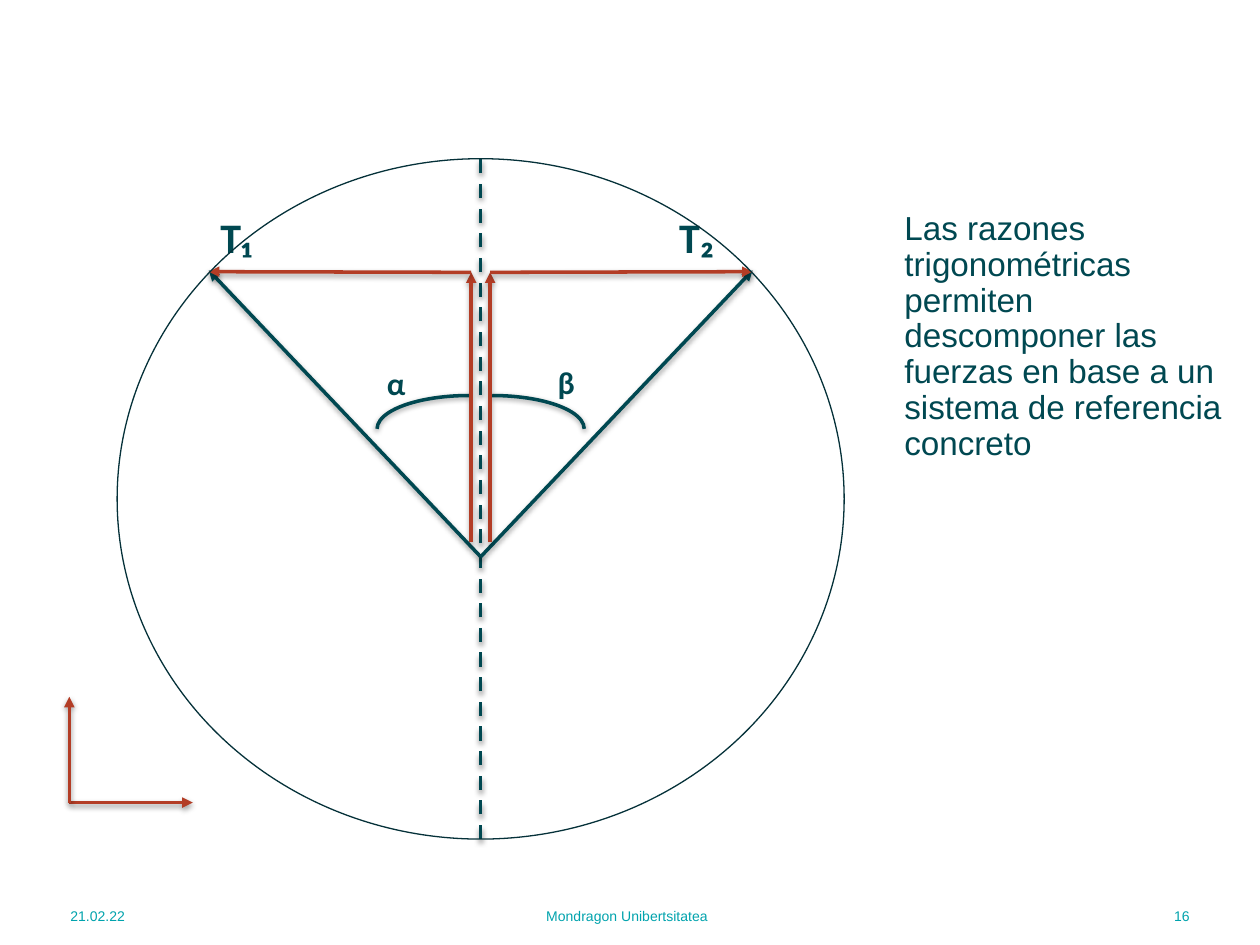
from collections import namedtuple

from lxml import etree
from pptx import Presentation
from pptx.dml.color import RGBColor
from pptx.enum.dml import MSO_LINE
from pptx.enum.shapes import MSO_CONNECTOR, MSO_SHAPE
from pptx.enum.text import MSO_ANCHOR, PP_ALIGN
from pptx.oxml.ns import qn
from pptx.util import Inches, Pt

STRAIGHT = MSO_CONNECTOR.STRAIGHT
ARC, OVAL = MSO_SHAPE.ARC, MSO_SHAPE.OVAL
DASH = MSO_LINE.DASH
TOP, MIDDLE = MSO_ANCHOR.TOP, MSO_ANCHOR.MIDDLE
LEFT, CENTER, RIGHT = PP_ALIGN.LEFT, PP_ALIGN.CENTER, PP_ALIGN.RIGHT

COLORS = {"ink": "004851", "rim": "053139", "force": "B33D26", "footer": "00A3AD", "shadow": "000000"}


class Box(namedtuple("Box", "left top width height")):
    def point(self, column, row):
        return (Inches(self.left + self.width * column / 100),
                Inches(self.top + self.height * row / 100))

    def area(self, column, row, columns, rows):
        return Box(self.left + self.width * column / 100, self.top + self.height * row / 100,
                   self.width * columns / 100, self.height * rows / 100)

    def lengths(self):
        return [Inches(length) for length in self]


def color(name):
    return RGBColor.from_string(COLORS[name])


def add_shadow(shape):
    effects = etree.SubElement(shape._element.spPr, qn("a:effectLst"))
    shadow = etree.SubElement(effects, qn("a:outerShdw"), blurRad="40000", dist="20000",
                              dir="5400000", rotWithShape="0")
    tint = etree.SubElement(shadow, qn("a:srgbClr"), val=COLORS["shadow"])
    etree.SubElement(tint, qn("a:alpha"), val="38000")


def add_line(shapes, box, start, end, ink, arrow=True):
    line = shapes.add_connector(STRAIGHT, *box.point(*start), *box.point(*end))
    line.line.color.rgb = color(ink)
    line.line.width = Pt(2)
    if arrow:
        outline = line._element.spPr.find(qn("a:ln"))
        etree.SubElement(outline, qn("a:tailEnd"), type="triangle")
    else:
        line.line.dash_style = DASH
    add_shadow(line)


def add_outline(shapes, kind, box, ink, width):
    shape = shapes.add_shape(kind, *box.lengths())
    shape.fill.background()
    shape.line.color.rgb = color(ink)
    shape.line.width = Pt(width)
    return shape


def add_text(shapes, box, text, size, ink, font="Arial", bold=False, align=LEFT, anchor=TOP):
    frame = shapes.add_textbox(*box.lengths()).text_frame
    frame.word_wrap = True
    frame.vertical_anchor = anchor
    frame.text = text
    para = frame.paragraphs[0]
    para.alignment = align
    span = para.runs[0].font
    span.size, span.name, span.bold = Pt(size), font, bold
    span.color.rgb = color(ink)
    return para


def draw_forces(page, box):
    shapes = page.shapes.add_group_shape().shapes
    vertex = (50, 58.5)
    add_line(shapes, box, (50, 100), (50, 0), "ink", arrow=False)
    for side in (-1, 1):
        tip = 50 + side * 37.4
        add_line(shapes, box, vertex, (tip, 16.4), "ink")
        arc = add_outline(shapes, ARC, box.area(37.35 + side * 1.6, 34.8, 25.3, 9.8), "ink", 2)
        if side < 0:
            arc._element.spPr.xfrm.set("flipH", "1")
        add_shadow(arc)
        inner = 50 + side * 1.3
        add_line(shapes, box, (inner, 56.4), (inner, 16.7), "force")
        add_line(shapes, box, (inner, 16.7), (tip, 16.6), "force")
    labels = (("T₁", 12.5, 6.9, 24), ("T₂", 75.6, 6.9, 24), ("α", 35.4, 29.3, 18), ("β", 58.9, 29.1, 18))
    for text, column, row, size in labels:
        add_text(shapes, box.area(column, row, 16.5, size / 2), text, size, "ink", "Calibri", True)
    circle = add_outline(page.shapes, OVAL, box, "rim", 0.75)
    circle.shadow.inherit = False


def draw_axes(page, box):
    shapes = page.shapes.add_group_shape().shapes
    for end in ((100, 100), (0, 0)):
        add_line(shapes, box, (0, 100), end, "force")


def draw_explanation(page, box):
    text = ("Las razones trigonométricas permiten descomponer las fuerzas "
            "en base a un sistema de referencia concreto")
    para = add_text(page.shapes, box, text, 19, "ink")
    para.line_spacing = 0.9


def draw_footer(page, box):
    items = (("21.02.22", 0, 14.2, LEFT), ("Mondragon Unibertsitatea", 21, 57.5, CENTER),
             ("16", 85.9, 14.1, RIGHT))
    for text, column, columns, align in items:
        add_text(page.shapes, box.area(column, 0, columns, 100), text, 8, "footer",
                 align=align, anchor=MIDDLE)


def main():
    deck = Presentation()
    deck.slide_width, deck.slide_height = Inches(10), Inches(7.5)
    page = deck.slides.add_slide(deck.slide_layouts[6])
    draw_footer(page, Box(0.46, 7.07, 9.08, 0.4))
    draw_forces(page, Box(0.93, 1.26, 5.77, 5.4))
    draw_axes(page, Box(0.55, 5.53, 0.98, 0.84))
    draw_explanation(page, Box(7.08, 1.63, 2.77, 4.9))
    deck.save("out.pptx")


if __name__ == "__main__":
    main()
